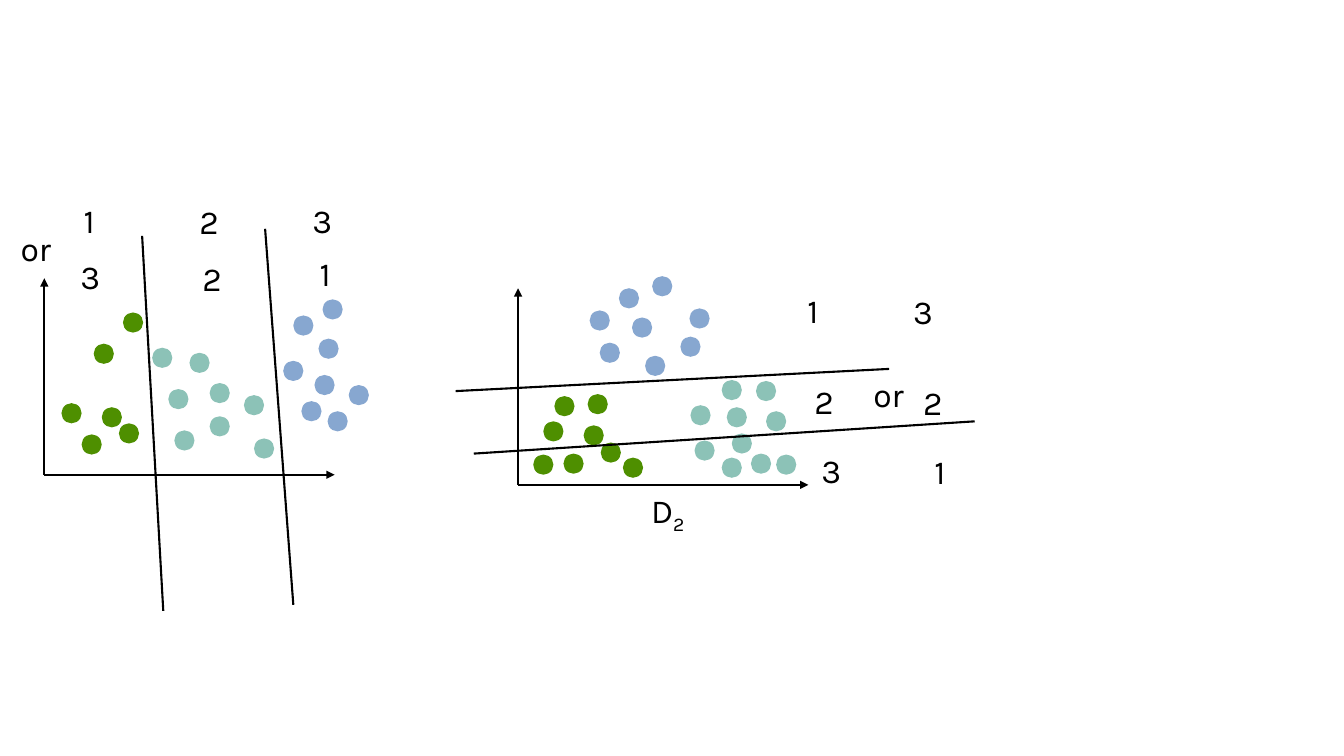
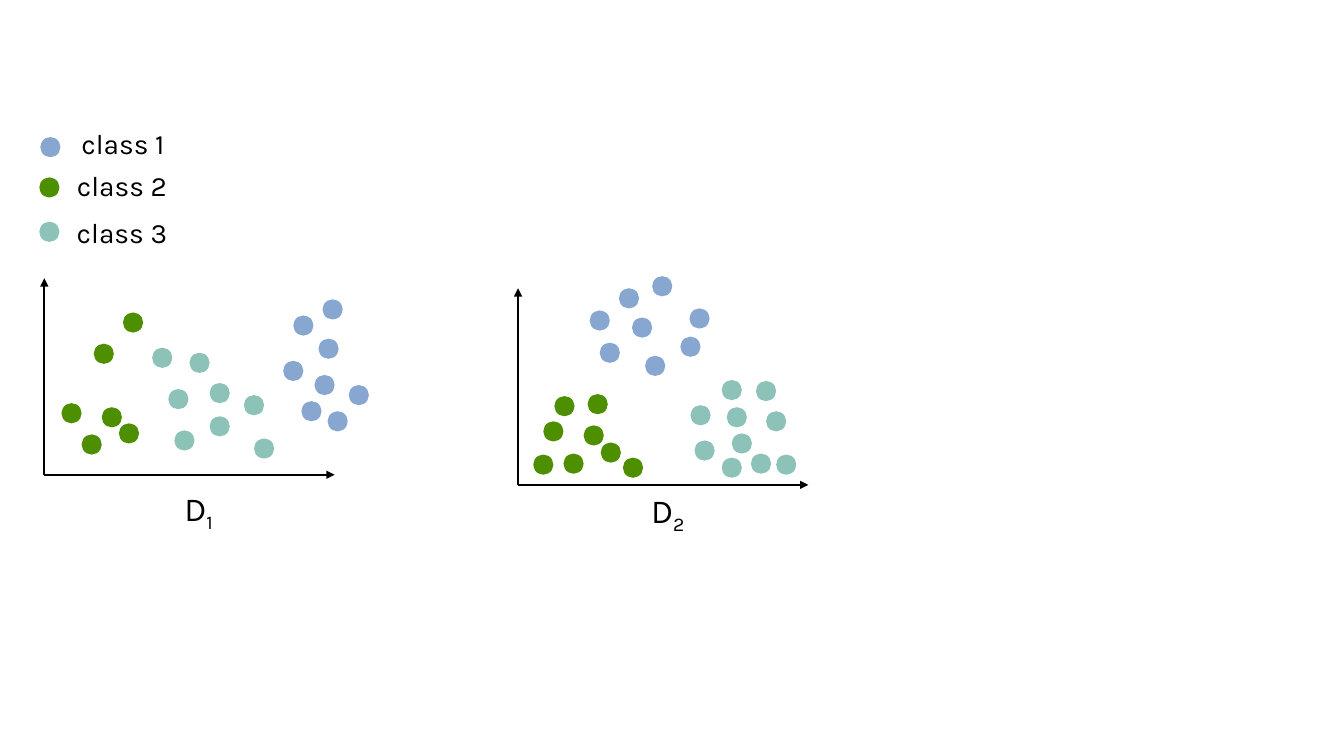
from dataclasses import dataclass

import lxml.etree
import pptx
import pptx.dml.color
import pptx.enum.shapes
import pptx.enum.text
import pptx.oxml.ns
import pptx.slide
import pptx.util

COLS, ROWS = 133.33, 75
CELL = pptx.util.Inches(0.1)
DOT = 2
AXIS_COLS, AXIS_ROWS = 28.8, 19.5
COLORS = {
    "ink": "000000",
    "class 1": "87A7D0",
    "class 2": "4E8F00",
    "class 3": "8CC2B7",
}
FONT = {"name": "Karla"}
FRAME = {"auto_size": pptx.enum.text.MSO_AUTO_SIZE.SHAPE_TO_FIT_TEXT}

Point = tuple[float, float]


@dataclass
class Label:
    text: str
    col: float
    row: float
    cols: float = 3.7
    rows: float = 5
    size: int = 24
    sub: str = ""
    wrap: bool = False


@dataclass
class Segment:
    start: Point
    end: Point
    arrow: bool = False


@dataclass
class Plot:
    origin: Point
    dots: dict[str, list[Point]]
    title: Label


@dataclass
class LegendRow:
    dot: Point
    label: Label


D1 = Plot(
    (4.4, 47.1),
    {
        "class 1": [(29.9, 39.8), (32.5, 40.8), (28.1, 35.8), (31.2, 37.2),
                    (34.6, 38.2), (31.6, 33.6), (32, 29.7), (29.1, 31.3)],
        "class 2": [(6.1, 40), (8.1, 43.1), (10.1, 40.4), (11.8, 42),
                    (12.2, 31), (9.3, 34.1)],
        "class 3": [(18.8, 35), (15.1, 34.5), (16.7, 38.6), (24.2, 39.2),
                    (20.8, 41.3), (25.2, 43.5), (17.3, 42.7), (20.8, 38)],
    },
    Label("D", 17.1, 47.9, 5.2, sub="1"),
)
D2 = Plot(
    (51.4, 48.1),
    {
        "class 1": [(58.5, 30.8), (62.7, 31.5), (59.5, 34), (61.4, 28.6),
                    (68.4, 30.6), (64, 35.3), (67.5, 33.4), (64.7, 27.4)],
        "class 2": [(53.9, 41.8), (55.9, 45), (57.9, 42.2), (59.6, 43.9),
                    (52.9, 45.1), (58.3, 39.1), (61.8, 45.4), (55, 39.3)],
        "class 3": [(74.5, 45), (75, 37.8), (68.5, 40.2), (76, 40.8),
                    (72.6, 43), (77, 45.1), (71.6, 37.7), (72.1, 40.4),
                    (68.9, 43.7), (71.6, 45.4)],
    },
    Label("D", 63.6, 48.1, 5.3, sub="2"),
)
BOUNDARIES = [
    Segment((26.3, 22.7), (29.1, 60)),
    Segment((14.1, 23.4), (16.2, 60.6)),
    Segment((45.2, 38.8), (88.2, 36.6)),
    Segment((47, 45), (96.7, 41.8)),
]
REGIONS = [
    Label("1", 7.1, 19.3, 3.5), Label("2", 18.8, 19.4), Label("3", 30, 19.3),
    Label("3", 7, 24.9), Label("2", 19.1, 25.1), Label("1", 30.5, 24.6, 3.5),
    Label("or", 0.9, 22.1, 5.3),
    Label("1", 78.9, 28.3, 3.5), Label("2", 79.8, 37.3), Label("3", 80.5, 44.1),
    Label("or", 85.5, 36.6, 5.3),
    Label("3", 89.6, 28.4), Label("2", 90.6, 37.4), Label("1", 91.5, 44.2, 3.5),
]
LEGEND = [
    LegendRow(dot, Label(name, col, row, 20.4, 4.4, 20, wrap=True))
    for name, dot, col, row in [
        ("class 1", (4, 13.6), 2, 12.1),
        ("class 2", (3.9, 17.6), 1.9, 16.2),
        ("class 3", (3.9, 22), 1.9, 20.9),
    ]
]


def grid(*cells: float) -> list[int]:
    return [round(n * CELL) for n in cells]


def color(name: str) -> pptx.dml.color.RGBColor:
    return pptx.dml.color.RGBColor.from_string(COLORS[name])


def set_all(target: object, values: dict) -> None:
    for key, value in values.items():
        setattr(target, key, value)


def add_dot(s: pptx.slide.Slide, at: Point, name: str) -> None:
    sp = s.shapes.add_shape(
        pptx.enum.shapes.MSO_SHAPE.OVAL, *grid(*at, DOT, DOT))
    sp.shadow.inherit = False
    sp.fill.solid()
    sp.fill.fore_color.rgb = color(name)
    sp.line.fill.background()


def add_segment(s: pptx.slide.Slide, seg: Segment) -> None:
    line = s.shapes.add_connector(
        pptx.enum.shapes.MSO_CONNECTOR.STRAIGHT, *grid(*seg.start, *seg.end))
    line.line.color.rgb = color("ink")
    line.line.width = pptx.util.Pt(1.5)
    qn = pptx.oxml.ns.qn
    sp_pr = line._element.spPr
    if seg.arrow:
        lxml.etree.SubElement(
            sp_pr.find(qn("a:ln")), qn("a:tailEnd"), type="triangle")
    lxml.etree.SubElement(sp_pr, qn("a:effectLst"))


def add_label(s: pptx.slide.Slide, label: Label) -> None:
    sp = s.shapes.add_textbox(
        *grid(label.col, label.row, label.cols, label.rows))
    tf = sp.text_frame
    set_all(tf, FRAME | {"word_wrap": label.wrap})
    p = tf.paragraphs[0]
    p.alignment = pptx.enum.text.PP_ALIGN.CENTER
    for text, baseline in ((label.text, None), (label.sub, "-25000")):
        if not text:
            continue
        r = p.add_run()
        r.text = text
        set_all(r.font, FONT | {"size": pptx.util.Pt(label.size)})
        r.font.color.rgb = color("ink")
        if baseline:
            r._r.get_or_add_rPr().set("baseline", baseline)


def add_plot(s: pptx.slide.Slide, plot: Plot, titled: bool = True) -> None:
    x, y = plot.origin
    for end in ((x, y - AXIS_ROWS), (x + AXIS_COLS, y)):
        add_segment(s, Segment(plot.origin, end, arrow=True))
    for name, dots in plot.dots.items():
        for at in dots:
            add_dot(s, at, name)
    if titled:
        add_label(s, plot.title)


def add_boundary_slide(prs) -> None:
    s = prs.slides.add_slide(prs.slide_layouts[6])
    add_plot(s, D1, titled=False)
    add_plot(s, D2)
    for seg in BOUNDARIES:
        add_segment(s, seg)
    for label in REGIONS:
        add_label(s, label)


def add_class_slide(prs) -> None:
    s = prs.slides.add_slide(prs.slide_layouts[6])
    for plot in (D1, D2):
        add_plot(s, plot)
    for row in LEGEND:
        add_dot(s, row.dot, row.label.text)
        add_label(s, row.label)


def main() -> None:
    prs = pptx.Presentation()
    prs.slide_width, prs.slide_height = grid(COLS, ROWS)
    add_boundary_slide(prs)
    add_class_slide(prs)
    prs.save("out.pptx")


if __name__ == "__main__":
    main()
